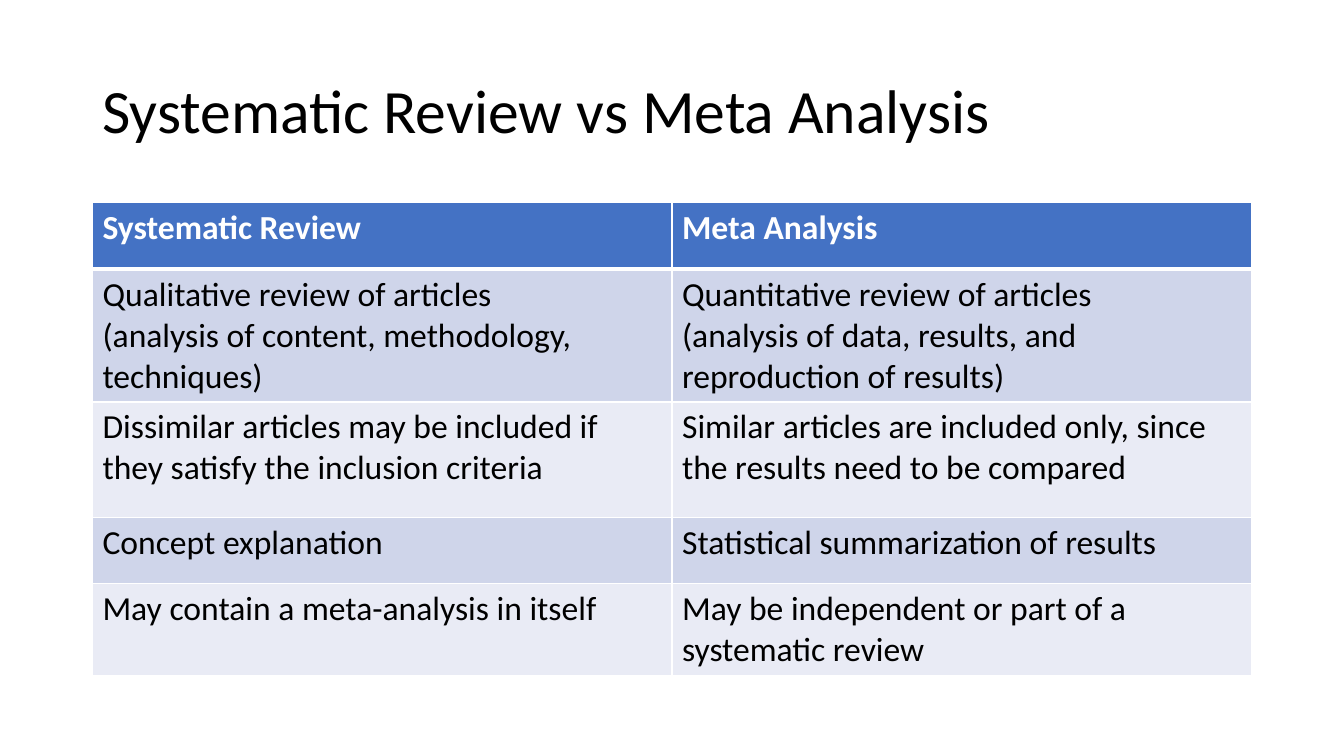
from dataclasses import dataclass

from lxml import etree
from pptx import Presentation, util as u
from pptx.dml.color import RGBColor
from pptx.enum import text
from pptx.oxml import ns


@dataclass(frozen=True)
class Theme:
    font: str = "Calibri"
    big: int = 44
    body: int = 24
    ink: str = "000000"
    white: str = "FFFFFF"
    head: str = "4472C4"
    bands: tuple = ("CFD5EA", "E9EBF5")
    thin: int = 1
    thick: int = 3


ROWS = [
    ("Systematic Review", "Meta Analysis"),
    ("Qualitative review of articles\n(analysis of content, methodology, techniques)",
     "Quantitative review of articles\n(analysis of data, results, and reproduction of results)"),
    ("Dissimilar articles may be included if they satisfy the inclusion criteria",
     "Similar articles are included only, since the results need to be compared"),
    ("Concept explanation", "Statistical summarization of results"),
    ("May contain a meta-analysis in itself",
     "May be independent or part of a systematic review"),
]
HEIGHTS = [1.68, 3.35, 2.9, 1.68, 2.31]
LEFT, WIDTH = 2.33, 29.21


def apply(obj, vals):
    for key, val in vals.items():
        setattr(obj, key, val)


class Deck:
    def __init__(self, theme):
        self.theme = theme
        self.prs = Presentation()
        apply(self.prs, {"slide_width": u.Cm(33.87), "slide_height": u.Cm(19.05)})
        self.slide = self.prs.slides.add_slide(self.prs.slide_layouts[6])

    def label(self, frame, words, size, color, bold=False, gap=1.0):
        frame.text = words
        for para in frame.paragraphs:
            para.line_spacing = gap
            for run in para.runs:
                apply(run.font, {"name": self.theme.font, "size": u.Pt(size), "bold": bold})
                run.font.color.rgb = RGBColor.from_string(color)

    def title(self, words, x, y, w, h):
        frame = self.slide.shapes.add_textbox(*map(u.Cm, (x, y, w, h))).text_frame
        apply(frame, {"word_wrap": True, "vertical_anchor": text.MSO_ANCHOR.MIDDLE})
        self.label(frame, words, self.theme.big, self.theme.ink, gap=0.9)

    def border(self, cell, side, width):
        props = cell._tc.get_or_add_tcPr()
        line = etree.SubElement(props, ns.qn(f"a:ln{side}"), w=str(u.Pt(width)))
        fill = etree.SubElement(line, ns.qn("a:solidFill"))
        etree.SubElement(fill, ns.qn("a:srgbClr"), val=self.theme.white)

    def table(self, rows, heights, x, y, w):
        th = self.theme
        size = len(rows), len(rows[0])
        grid = self.slide.shapes.add_table(*size, *map(u.Cm, (x, y, w, sum(heights)))).table
        for row, high in zip(grid.rows, heights):
            row.height = u.Cm(high)
        for r, row in enumerate(rows):
            for c, words in enumerate(row):
                cell = grid.cell(r, c)
                # A thick rule parts the header from the body
                wide = {"T": r == 1, "B": r == 0}
                for side in "LRTB":
                    self.border(cell, side, th.thick if wide.get(side) else th.thin)
                # Header colour, then alternating bands
                cell.fill.solid()
                color = th.bands[(r - 1) % 2] if r else th.head
                cell.fill.fore_color.rgb = RGBColor.from_string(color)
                self.label(cell.text_frame, words, th.body,
                           th.ink if r else th.white, bold=r == 0)


def main():
    deck = Deck(Theme())
    # Heading
    deck.title("Systematic Review vs Meta Analysis", LEFT, 1.01, WIDTH, 3.68)
    # Comparison table
    deck.table(ROWS, HEIGHTS, LEFT, 5.1, WIDTH)
    deck.prs.save("out.pptx")


if __name__ == "__main__":
    main()
